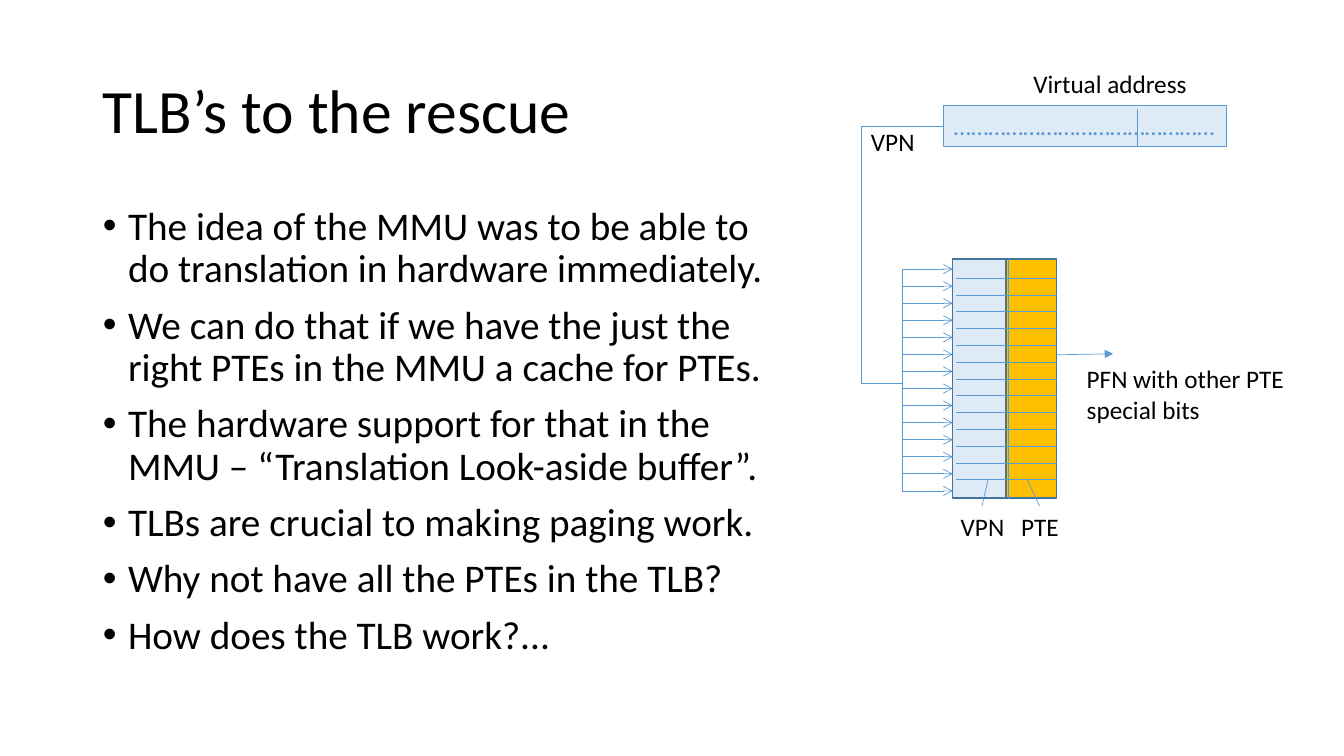
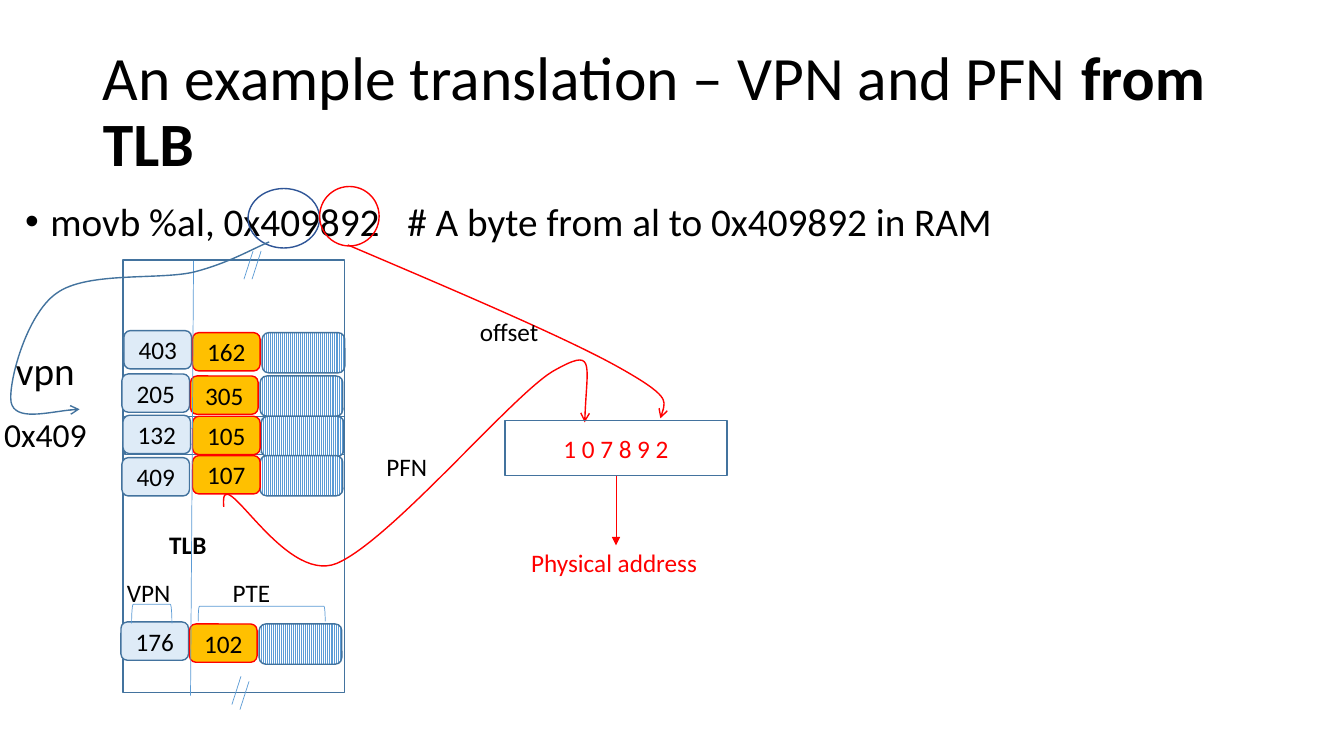
from lxml import etree
from pptx import Presentation
from pptx.dml.color import RGBColor
from pptx.enum import dml, shapes, text
from pptx.oxml import ns
from pptx.util import Inches, Pt

BLACK = RGBColor(0x00, 0x00, 0x00)
WHITE = RGBColor(0xFF, 0xFF, 0xFF)
RED = RGBColor(0xFF, 0x00, 0x00)
BLUE = RGBColor(0x5B, 0x9B, 0xD5)
DARK_BLUE = RGBColor(0x43, 0x73, 0x9E)
NAVY = RGBColor(0x2F, 0x55, 0x97)
PALE_BLUE = RGBColor(0xDE, 0xEB, 0xF7)
GOLD = RGBColor(0xFF, 0xC0, 0x00)

SHAPE = shapes.MSO_SHAPE
PATTERN = dml.MSO_PATTERN
CENTER = text.PP_ALIGN.CENTER
LEFT = text.PP_ALIGN.LEFT
MIDDLE = text.MSO_ANCHOR.MIDDLE
TOP = text.MSO_ANCHOR.TOP
TITLE_BOX = (0.92, 0.4, 11.5, 1.45)
PARAGRAPH = {"alignment": LEFT, "line_spacing": 0.9}


def apply(target, values):
    """Set every attribute named in a dict of format values."""
    for name, value in values.items():
        setattr(target, name, value)


def place(shape, box):
    """Move and size a shape to a box in inches."""
    names = ("left", "top", "width", "height")
    apply(shape, dict(zip(names, map(Inches, box))))


def format_runs(paragraph, size, color=BLACK, **values):
    """Give each run of a paragraph the deck font."""
    for run in paragraph.runs:
        apply(run.font, {"name": "Calibri", "size": Pt(size), **values})
        run.font.color.rgb = color


def add_tab_stop(paragraph, position):
    """Add one left tab stop, in inches from the text edge."""
    properties = paragraph._p.get_or_add_pPr()
    tabs = etree.SubElement(properties, ns.qn("a:tabLst"))
    etree.SubElement(tabs, ns.qn("a:tab"), pos=str(Inches(position)), algn="l")


def set_line(shape, color, width, head=None):
    """Format an outline and its optional arrowhead."""
    shape.line.color.rgb = color
    shape.line.width = Pt(width)
    if head:
        outline = shape._element.spPr.find(ns.qn("a:ln"))
        etree.SubElement(outline, ns.qn("a:tailEnd"), type=head)


def set_fill(shape, fill):
    """Fill with a colour, a pattern or nothing."""
    if fill is None:
        shape.fill.background()
    elif isinstance(fill, RGBColor):
        shape.fill.solid()
        shape.fill.fore_color.rgb = fill
    else:
        shape.fill.patterned()
        shape.fill.pattern = fill
        shape.fill.fore_color.rgb = BLUE
        shape.fill.back_color.rgb = WHITE


def write(shape, words, size=18, color=BLACK, align=CENTER, anchor=MIDDLE,
          wrap=True, tab=None, margin=0.1, **font):
    """Write text into a shape, one paragraph a line."""
    frame = shape.text_frame
    frame.text = words
    apply(frame, {"word_wrap": wrap, "vertical_anchor": anchor,
                  "margin_left": Inches(margin), "margin_right": Inches(margin)})
    for paragraph in frame.paragraphs:
        paragraph.alignment = align
        if tab:
            add_tab_stop(paragraph, tab)
        format_runs(paragraph, size, color, **font)


class Region:
    """A part of a slide whose members are placed from its corner."""

    def __init__(self, slide, left, top):
        """Keep the slide's shapes and the corner in inches."""
        self.shapes, self.left, self.top = slide.shapes, left, top

    def point(self, x, y):
        """Turn a point of the region into slide lengths."""
        return Inches(self.left + x), Inches(self.top + y)

    def shape(self, kind, box, fill=None, line=DARK_BLUE, width=1):
        """Add a preset shape."""
        x, y, wide, high = box
        shape = self.shapes.add_shape(kind, *self.point(x, y), Inches(wide), Inches(high))
        shape.shadow.inherit = False
        set_fill(shape, fill)
        set_line(shape, line, width)
        return shape

    def label(self, words, x, y, wide, high=0.4, wrap=False, **style):
        """Add a text box."""
        box = self.shapes.add_textbox(*self.point(x, y), Inches(wide), Inches(high))
        write(box, words, align=LEFT, anchor=TOP, wrap=wrap, **style)

    def line(self, start, end, color=BLUE, head=None, joined=None, elbow=False):
        """Add a connector, joined at its start to a (shape, site) pair."""
        kinds = shapes.MSO_CONNECTOR
        kind = kinds.ELBOW if elbow else kinds.STRAIGHT
        connector = self.shapes.add_connector(kind, *self.point(*start), *self.point(*end))
        if joined:
            connector.begin_connect(*joined)
        if elbow:
            connector._element.spPr.prstGeom.set("prst", "bentConnector2")
        set_line(connector, color, 0.5, head)
        etree.SubElement(connector._element.spPr, ns.qn("a:effectLst"))

    def curve(self, points, color):
        """Add an arrow of cubic curves: a start, then three points a curve."""
        start, *rest = [self.point(*point) for point in points]
        builder = self.shapes.build_freeform(*start)
        builder.add_line_segments(rest, close=False)
        shape = builder.convert_to_shape()
        segments = list(shape._element.iter(ns.qn("a:lnTo")))
        for index in range(0, len(segments), 3):
            trio = segments[index:index + 3]
            cubic = etree.SubElement(trio[0].getparent(), ns.qn("a:cubicBezTo"))
            for segment in trio:
                cubic.append(segment[0])
                segment.getparent().remove(segment)
        shape.shadow.inherit = False
        set_fill(shape, None)
        set_line(shape, color, 1, "arrow")
        return shape


def add_content_slide(presentation, title_runs, items, body_box, tab=None):
    """Add a slide with a title and a bulleted list."""
    slide = presentation.slides.add_slide(presentation.slide_layouts[1])
    title, body = slide.placeholders
    place(title, TITLE_BOX)
    place(body, body_box)
    for holder, anchor in ((title, MIDDLE), (body, TOP)):
        apply(holder.text_frame, {"word_wrap": True, "vertical_anchor": anchor,
                                  "auto_size": text.MSO_AUTO_SIZE.NONE})
    heading = title.text_frame.paragraphs[0]
    apply(heading, PARAGRAPH)
    for words, bold in title_runs:
        heading.add_run().text = words
        heading.runs[-1].font.bold = bold
    format_runs(heading, 44)
    body.text_frame.text = "\n".join(items)
    for index, paragraph in enumerate(body.text_frame.paragraphs):
        apply(paragraph, {**PARAGRAPH, "space_before": Pt(10 if index else 0)})
        properties = paragraph._p.get_or_add_pPr()
        properties.set("marL", str(Inches(0.25)))
        properties.set("indent", str(Inches(-0.25)))
        if tab:
            add_tab_stop(paragraph, tab)
        format_runs(paragraph, 28)
    return slide


def draw_virtual_address(slide, left, top):
    """Draw the address bar and the VPN path down to the buffer."""
    region = Region(slide, left, top)
    bar = region.shape(SHAPE.RECTANGLE, (0.82, 0.42, 2.81, 0.4), PALE_BLUE, BLUE, 0.75)
    write(bar, "…" * 15, color=BLUE, align=LEFT, anchor=TOP, wrap=False)
    region.line((2.74, 0.45), (2.74, 0.82))
    region.line((0.82, 0.62), (0, 3.18), joined=(bar, 1), elbow=True)
    region.label("Virtual address", 1.61, 0, 1.74)
    region.label("VPN", 0, 0.57, 0.64)


def draw_lookaside_buffer(slide, left, top):
    """Draw the buffer columns with the parallel lookup arrows."""
    region = Region(slide, left, top)
    region.shape(SHAPE.RECTANGLE, (0.94, 0, 1, 2.37), GOLD)
    region.shape(SHAPE.RECTANGLE, (0.91, 0, 0.53, 2.37), PALE_BLUE)
    region.line((1.46, 0), (1.46, 2.38))
    for row in range(13):
        y = 0.19 + row / 6
        region.line((0.94, y), (1.94, y))
    for row in range(14):
        y = 0.1 + row * 2.2 / 13
        region.line((0.41, y), (0.91, y), head="arrow")
    region.line((0.41, 0.1), (0.41, 2.3))
    region.line((0, 1.23), (0.41, 1.23))
    region.line((1.2, 2.45), (1.26, 2.19))
    region.line((1.77, 2.45), (1.65, 2.19))
    region.label("VPN\tPTE", 0.89, 2.45, 1.35, wrap=True, tab=0.6)
    region.line((1.94, 0.95), (2.5, 0.94), head="triangle")
    region.label("PFN with other PTE\nspecial bits", 2.14, 0.99, 2.18, 0.71)


def draw_entry(region, x, y, vpn, pfn, pfn_shift, drop):
    """Draw one buffer entry: VPN, PFN and special bits."""
    cells = ((vpn, x, y, PALE_BLUE, DARK_BLUE),
             (pfn, x + pfn_shift, y + drop, GOLD, RED))
    region.shape(SHAPE.ROUNDED_RECTANGLE, (x + 1.37, y + drop, 0.82, 0.4), PATTERN.LIGHT_VERTICAL)
    for words, cell_x, cell_y, fill, line in cells:
        cell = region.shape(SHAPE.ROUNDED_RECTANGLE, (cell_x, cell_y, 0.67, 0.38), fill, line)
        write(cell, words)


def draw_tlb_table(slide, left, top):
    """Draw the buffer with its entries, brackets and break marks."""
    region = Region(slide, left, top)
    region.shape(SHAPE.RECTANGLE, (0.04, 1.64, 2.18, 0.38), PATTERN.SMALL_CONFETTI)
    region.shape(SHAPE.RECTANGLE, (0.02, 0.09, 2.2, 4.29))
    for x, y in ((1.31, 0), (1.39, 0), (1.19, 4.22), (1.27, 4.27)):
        region.line((x, y), (x - 0.09, y + 0.28))
    region.label("TLB", 0.38, 2.71, 0.9, wrap=True, bold=True)
    entries = ((0.03, 0.79, "403", "162", 0.68, 0.02),
               (0.01, 1.22, "205", "305", 0.68, 0.02),
               (0.02, 1.63, "132", "105", 0.69, 0.01),
               (0.01, 2.05, "409", "107", 0.7, -0.02),
               (0, 3.68, "176", "102", 0.68, 0.02))
    for entry in entries:
        draw_entry(region, *entry)
    region.label("VPN\tPTE", -0.04, 3.19, 1.65, wrap=True, tab=1.05)
    for box in ((1.32, 2.97, 0.15, 1.26), (0.21, 3.4, 0.19, 0.4)):
        region.shape(SHAPE.LEFT_BRACKET, box, line=BLUE, width=0.5).rotation = 90
    region.line((0.69, 4.41), (0.72, 0.1))


def draw_operand_rings(slide, left, top):
    """Ring the VPN and the offset in the operand."""
    region = Region(slide, left, top)
    region.shape(SHAPE.OVAL, (0, 0.02, 0.71, 0.59), line=NAVY)
    region.shape(SHAPE.OVAL, (0.71, 0, 0.59, 0.59), line=RED)


def draw_vpn_path(slide, left, top):
    """Draw the arrow from the operand to its VPN."""
    region = Region(slide, left, top)
    region.curve(((2.67, 0), (2.5, 0.07), (2.27, 0.21), (1.92, 0.3),
                  (1.57, 0.38), (0.86, 0.29), (0.56, 0.51),
                  (0.26, 0.72), (0.08, 1.4), (0.11, 1.59),
                  (0.15, 1.78), (0.55, 1.67), (0.79, 1.66)), DARK_BLUE)
    region.label("vpn", 0.06, 0.99, 0.79, 0.57, size=28)
    region.label("0x409", 0.04, 1.66, 0.9, 0.5, size=24, margin=0)


def draw_physical_address(slide, left, top):
    """Draw the PFN and offset arrows into the physical address."""
    region = Region(slide, left, top)
    pfn_path = ((0.05, 2.6), (0, 2.07), (0.63, 3.38), (1.17, 3.16),
                (1.71, 2.93), (2.91, 1.49), (3.32, 1.25),
                (3.73, 1.02), (3.65, 1.17), (3.63, 1.76))
    offset_path = ((1.28, 0), (2.36, 0.46), (3.44, 0.92), (3.96, 1.21),
                   (4.48, 1.5), (4.43, 1.61), (4.38, 1.72))
    for words, points in (("PFN", pfn_path), ("offset", offset_path)):
        write(region.curve(points, RED), words)
    address = region.shape(SHAPE.RECTANGLE, (2.84, 1.74, 2.2, 0.55))
    write(address, "1 0 7 8 9 2", color=RED)
    region.line((3.94, 2.29), (3.94, 2.98), RED, "triangle", (address, 2))
    region.label("Physical address", 3, 2.95, 1.86, color=RED)


def main():
    """Build and save the presentation."""
    presentation = Presentation()
    apply(presentation, {"slide_width": Inches(13.33), "slide_height": Inches(7.5)})
    rescue = add_content_slide(presentation, [("TLB’s to the rescue", None)], [
        "The idea of the MMU was to be able to do translation in hardware immediately.",
        "We can do that if we have the just the right PTEs in the MMU a cache for PTEs.",
        "The hardware support for that in the MMU – “Translation Look-aside buffer”.",
        "TLBs are crucial to making paging work.",
        "Why not have all the PTEs in the TLB?",
        "How does the TLB work?...",
    ], (0.92, 2, 6.88, 4.76))
    draw_virtual_address(rescue, 8.54, 0.63)
    draw_lookaside_buffer(rescue, 8.54, 2.57)
    example = add_content_slide(
        presentation, [("An example translation – VPN and PFN ", None), ("from TLB", True)],
        ["movb %al, 0x409892\t# A byte from al to 0x409892 in RAM"],
        (0.15, 1.96, 11.96, 0.66), tab=3.79)
    draw_tlb_table(example, 1.2, 2.49)
    draw_operand_rings(example, 2.46, 1.85)
    draw_vpn_path(example, 0, 2.4)
    draw_physical_address(example, 2.17, 2.43)
    presentation.save("out.pptx")


if __name__ == "__main__":
    main()
